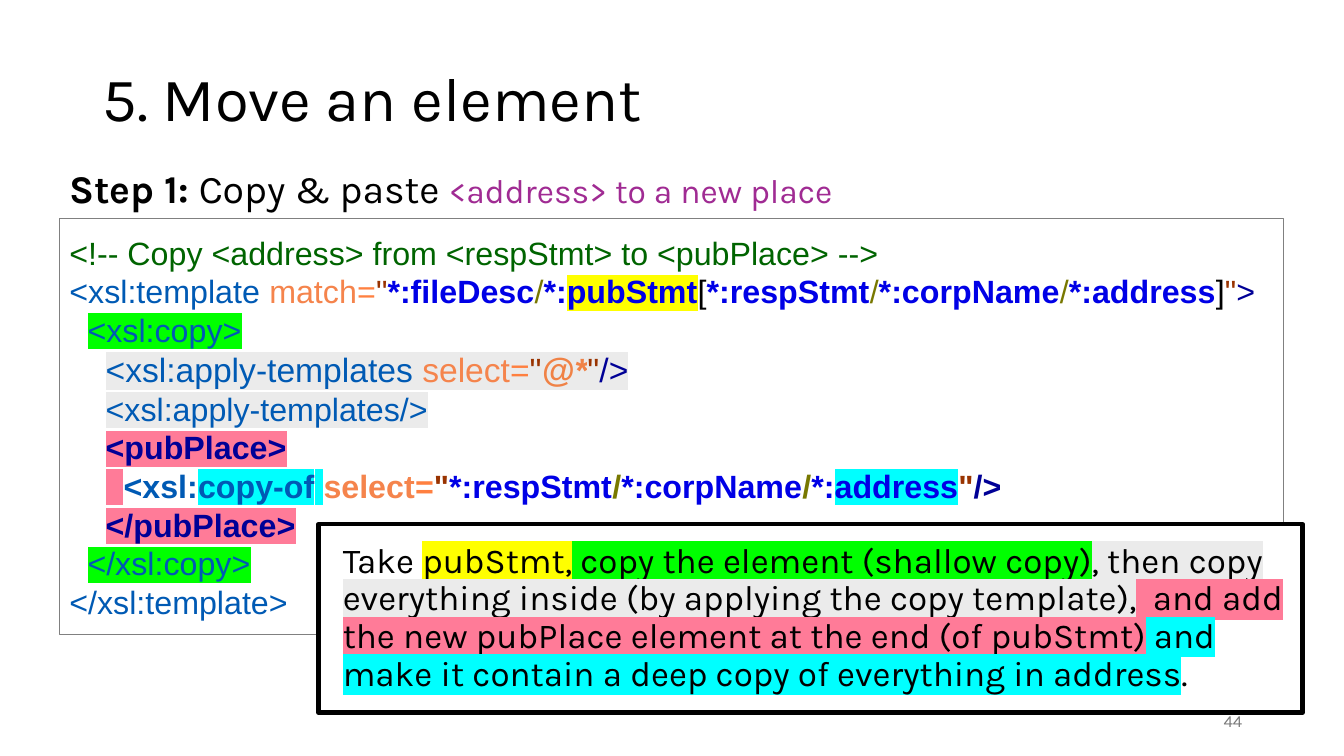
import pptx
import pptx.util
import pptx.dml.color
import pptx.enum.shapes
import pptx.enum.text
import pptx.oxml
import pptx.oxml.ns

Inches = pptx.util.Inches
Pt = pptx.util.Pt
RGB = pptx.dml.color.RGBColor
ALIGN = pptx.enum.text.PP_ALIGN
ANCHOR = pptx.enum.text.MSO_ANCHOR

BLACK = RGB(0x00, 0x00, 0x00)
WHITE = RGB(0xFF, 0xFF, 0xFF)
GRAY = RGB(0x80, 0x80, 0x80)
DIM = RGB(0x79, 0x79, 0x79)
PLUM = RGB(0xA0, 0x2B, 0x93)
GREEN = RGB(0x00, 0x64, 0x00)
BLUE = RGB(0x00, 0x5A, 0xB4)
NAVY = RGB(0x00, 0x00, 0x96)
ROYAL = RGB(0x00, 0x00, 0xE6)
CORAL = RGB(0xF5, 0x84, 0x4C)
AMBER = RGB(0xF0, 0x82, 0x46)
ORANGE = RGB(0xFF, 0x80, 0x40)
BROWN = RGB(0x99, 0x33, 0x00)
OLIVE = RGB(0x78, 0x78, 0x00)
YELLOW = RGB(0xFF, 0xFF, 0x00)
LIME = RGB(0x00, 0xFF, 0x00)
PALE = RGB(0xEB, 0xEB, 0xEB)
PINK = RGB(0xFF, 0x7B, 0x98)
CYAN = RGB(0x00, 0xFF, 0xFF)

BOLD = {"bold": True}


def run(text, color=BLACK, mark=None, **font):
    return text, color, mark, font


def path_of(*names):
    """Bold XPath steps with plain slashes between them."""
    runs = []
    for name in names:
        if runs:
            runs.append(run("/", OLIVE))
        runs.append(run("*:" + name, ROYAL, **BOLD))
    return runs


def heavy(runs):
    return [(text, color, mark, {**font, **BOLD}) for text, color, mark, font in runs]


class Deck:
    face = "Karla"

    def __init__(self):
        self.file = pptx.Presentation()
        self.file.slide_width = Inches(13.33)
        self.file.slide_height = Inches(7.5)
        self.slide = self.file.slides.add_slide(self.file.slide_layouts[6])

    def frame(self, shape, **form):
        form = {"word_wrap": True, "vertical_anchor": ANCHOR.TOP, **form}
        for key, value in form.items():
            setattr(shape.text_frame, key, value)
        return shape.text_frame

    def fill(self, para, runs, size, face=None, **form):
        """Set the paragraph format and add its runs."""
        for key, value in form.items():
            setattr(para, key, value)
        for text, color, mark, font in runs:
            item = para.add_run()
            item.text = text
            font = {"name": face or self.face, "size": Pt(size), "bold": False, **font}
            for key, value in font.items():
                setattr(item.font, key, value)
            item.font.color.rgb = color
            if mark is not None:
                self.mark(item, mark)

    def mark(self, item, color):
        """Put a highlight behind a run."""
        space = pptx.oxml.ns.nsdecls("a")
        light = pptx.oxml.parse_xml(
            f'<a:highlight {space}><a:srgbClr val="{color}"/></a:highlight>')
        props = item.font.fill._xPr
        props.find(pptx.oxml.ns.qn("a:solidFill")).addnext(light)

    def label(self, place, runs, size, anchor=ANCHOR.TOP, **form):
        shape = self.slide.shapes.add_textbox(*map(Inches, place))
        frame = self.frame(shape, vertical_anchor=anchor)
        self.fill(frame.paragraphs[0], runs, size, **form)

    def box(self, place, line, width, back=None, **form):
        kind = pptx.enum.shapes.MSO_SHAPE.RECTANGLE
        shape = self.slide.shapes.add_shape(kind, *map(Inches, place))
        shape.shadow.inherit = False
        if back is None:
            shape.fill.background()
        else:
            shape.fill.solid()
            shape.fill.fore_color.rgb = back
        shape.line.color.rgb = line
        shape.line.width = Pt(width)
        return self.frame(shape, vertical_anchor=ANCHOR.MIDDLE, **form)

    def code(self, place, lines):
        """Each line is (indent level, size, runs)."""
        frame = self.box(place, GRAY, 0.75, margin_top=Inches(0.12),
                         margin_bottom=Inches(0.12))
        for i, (level, size, runs) in enumerate(lines):
            para = frame.add_paragraph() if i else frame.paragraphs[0]
            para._p.get_or_add_pPr().set("marL", str(Inches(0.18 * level)))
            self.fill(para, runs, size, "Arial", alignment=ALIGN.LEFT)

    def note(self, place, runs, size):
        frame = self.box(place, BLACK, 3, WHITE, margin_left=Inches(0.24))
        self.fill(frame.paragraphs[0], runs, size, alignment=ALIGN.LEFT,
                  line_spacing=0.9, space_before=Pt(10))


QUOTE = run('"', BROWN)
SELECT = [run("select", CORAL), run("=", ORANGE), QUOTE]

CODE = [
    (0, 23, [run("<!-- Copy <address> from <respStmt> to <pubPlace> -->", GREEN)]),
    (0, 23, [run("<xsl:template", BLUE), run(" match", CORAL), run("=", ORANGE), QUOTE,
             *path_of("fileDesc", ""), run("pubStmt", ROYAL, YELLOW, **BOLD),
             run("["), *path_of("respStmt", "corpName", "address"), run("]"),
             QUOTE, run(">", NAVY)]),
    (1, 23, [run("<xsl:copy>", BLUE, LIME)]),
    (2, 24, [run("<xsl:apply-templates", BLUE, PALE), run(" select", CORAL, PALE),
             run("=", ORANGE, PALE), run('"', BROWN, PALE),
             run("@*", AMBER, PALE, italic=True, **BOLD), run('"', BROWN, PALE),
             run("/>", NAVY, PALE)]),
    (2, 23, [run("<xsl:apply-templates/>", BLUE, PALE)]),
    (2, 23, heavy([run("<pubPlace>", NAVY, PINK)])),
    (2, 23, heavy([run("  ", BLACK, PINK), run("<xsl:", BLUE), run("copy-of", BLUE, CYAN),
                   run(" ", CORAL, CYAN), *SELECT, *path_of("respStmt", "corpName", ""),
                   run("address", ROYAL, CYAN), QUOTE, run("/>", NAVY)])),
    (2, 23, heavy([run("</pubPlace>", NAVY, PINK)])),
    (1, 23, [run("</xsl:copy>", BLUE, LIME)]),
    (0, 23, [run("</xsl:template>", BLUE)]),
]

NOTE = [
    run("Take "),
    run("pubStmt,", mark=YELLOW),
    run(" copy the element (shallow copy)", mark=LIME),
    run(", then copy everything inside (by applying the copy template),", mark=PALE),
    run("  and add the new pubPlace element at the end (of pubStmt)", mark=PINK),
    run(" and make it contain a deep copy of everything in address", mark=CYAN),
    run("."),
]


def main():
    deck = Deck()
    deck.code((0.59, 2.17, 12.14, 4.13), CODE)
    deck.note((3.16, 5.2, 9.76, 1.87), NOTE, 25)
    step = [run("Step 1: ", **BOLD), run("Copy & paste "),
            run("<address> to a new place", PLUM, size=Pt(24))]
    deck.label((0.59, 1.63, 12.14, 0.64), step, 28, line_spacing=0.9, space_before=Pt(10))
    deck.label((0.92, 0.53, 11.5, 0.95), [run("5. Move an element")], 44,
               ANCHOR.MIDDLE, line_spacing=0.9)
    deck.label((9.42, 6.95, 3, 0.4), [run("44", DIM)], 12, ANCHOR.MIDDLE,
               alignment=ALIGN.RIGHT)
    deck.file.save("out.pptx")


if __name__ == "__main__":
    main()
